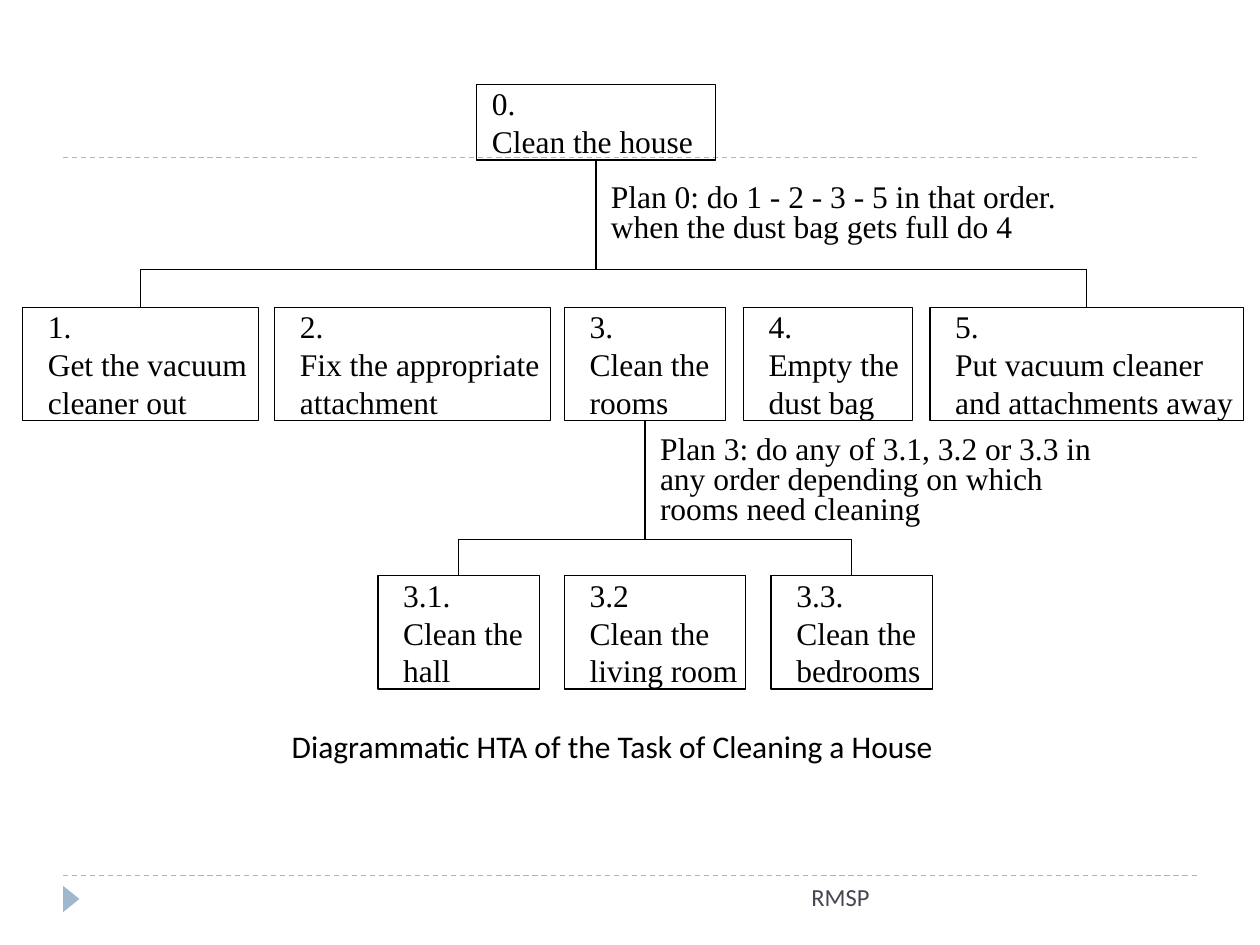
from lxml import etree
from pptx import Presentation, util as u
from pptx.dml.color import RGBColor
from pptx.enum import dml, shapes, text
from pptx.oxml.ns import qn

COLS, ROWS = 100, 75
CELL = u.Inches(0.1)
SERIF, SANS = "Times New Roman", "Calibri"
BLACK, GREY, BLUE = "000000", "464653", "9FB8CD"
BOX_H = 9
BOTTOM, TOP = 2, 0  # connection sites

ROOT = ("0.", "Clean the house", 37.8, 19)
STEPS = [
    ("1.", "Get the vacuum cleaner out", 1.8, 18.7),
    ("2.", "Fix the appropriate attachment", 21.8, 21.9),
    ("3.", "Clean the rooms", 44.8, 12.8),
    ("4.", "Empty the dust bag", 59, 13.4),
    ("5.", "Put vacuum cleaner and attachments away", 73.8, 24.9),
]
ROOMS = [
    ("3.1.", "Clean the hall", 30, 12.8),
    ("3.2", "Clean the living room", 44.8, 14.4),
    ("3.3.", "Clean the bedrooms", 61.2, 12.8),
]


def grid(*cells):
    """Turn columns or rows of the slide grid into lengths."""
    return [u.Emu(round(c * CELL)) for c in cells]


def color(code):
    return RGBColor.from_string(code)


def style(tf, font, size, code, align=text.PP_ALIGN.LEFT, spacing=None):
    for p in tf.paragraphs:
        p.alignment = align
        p.line_spacing = spacing
        for r in p.runs:
            r.font.name, r.font.size = font, u.Pt(size)
            r.font.color.rgb = color(code)


def add_task(s, number, name, left, width, top, height=BOX_H, inset=2):
    sp = s.shapes.add_shape(shapes.MSO_SHAPE.RECTANGLE, *grid(left, top, width, height))
    sp.shadow.inherit = False
    sp.fill.background()
    sp.line.color.rgb = color(BLACK)
    sp.line.width = u.Pt(0.75)
    tf = sp.text_frame
    tf.word_wrap = True
    tf.vertical_anchor = text.MSO_ANCHOR.MIDDLE
    tf.margin_left, tf.margin_right = grid(inset, 0)
    tf.text = f"{number}\n{name}"
    style(tf, SERIF, 18, BLACK)
    return sp


def add_text(s, words, at, font=SERIF, size=18, code=BLACK, **layout):
    tf = s.shapes.add_textbox(*grid(*at)).text_frame
    tf.word_wrap = True
    tf.text = words
    style(tf, font, size, code, **layout)


def add_line(s, start, end, code=BLACK):
    line = s.shapes.add_connector(shapes.MSO_CONNECTOR.STRAIGHT, *start, *end)
    line.line.color.rgb = color(code)
    line.line.width = u.Pt(0.75)
    etree.SubElement(line._element.spPr, qn("a:effectLst"))
    return line


def add_rule(s, row):
    rule = add_line(s, grid(5, row), grid(95, row), BLUE)
    rule.line.dash_style = dml.MSO_LINE.DASH


def add_branch(s, parent, children, row):
    """Join a task to its subtasks through a horizontal bar at the given row."""
    def middle(sp):
        return sp.left + sp.width // 2

    bar, = grid(row)
    first, last = children[0], children[-1]
    trunk = add_line(s, (middle(parent), parent.top + parent.height), (middle(parent), bar))
    trunk.begin_connect(parent, BOTTOM)
    add_line(s, (middle(first), bar), (middle(last), bar))
    for child in (first, last):
        drop = add_line(s, (middle(child), bar), (middle(child), child.top))
        drop.end_connect(child, TOP)


def add_marker(s):
    sp = s.shapes.add_shape(shapes.MSO_SHAPE.ISOSCELES_TRIANGLE, *grid(4.6, 70.7, 2.1, 1.3))
    sp.rotation = 90
    sp.shadow.inherit = False
    sp.fill.solid()
    sp.fill.fore_color.rgb = color(BLUE)
    sp.line.fill.background()


def main():
    prs = Presentation()
    prs.slide_width, prs.slide_height = grid(COLS, ROWS)
    s = prs.slides.add_slide(prs.slide_layouts[6])

    for row in (69.5, 12.5):
        add_rule(s, row)
    add_marker(s)

    root = add_task(s, *ROOT, top=6.7, height=6, inset=1.25)
    steps = [add_task(s, *step, top=24.4) for step in STEPS]
    rooms = [add_task(s, *room, top=45.7) for room in ROOMS]
    add_branch(s, root, steps, 21.4)
    add_branch(s, steps[2], rooms, 42.8)

    add_text(s, "Plan 0: do 1 - 2 - 3 - 5 in that order. when the dust bag gets full do 4",
             (47.5, 14.1, 38, 5.8), spacing=0.8)
    add_text(s, "Plan 3: do any of 3.1, 3.2 or 3.3 in any order depending on which rooms need cleaning",
             (51.4, 34.1, 38, 8.2), spacing=0.8)
    add_text(s, "Diagrammatic HTA of the Task of Cleaning a House",
             (17.7, 57.2, 61.8, 7), font=SANS, align=text.PP_ALIGN.CENTER)
    add_text(s, "RMSP", (31.7, 69.5, 38.3, 4), font=SANS, size=14, code=GREY,
             align=text.PP_ALIGN.RIGHT)
    prs.save("out.pptx")


if __name__ == "__main__":
    main()
